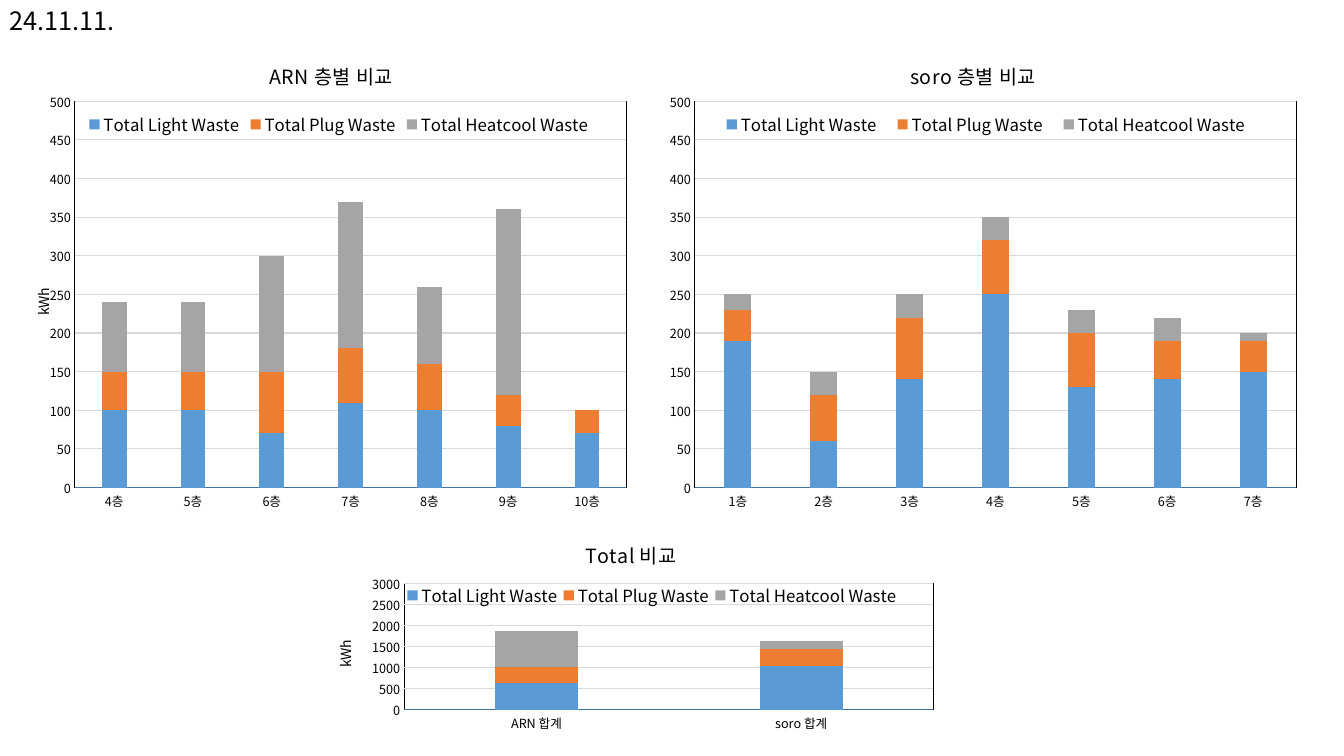
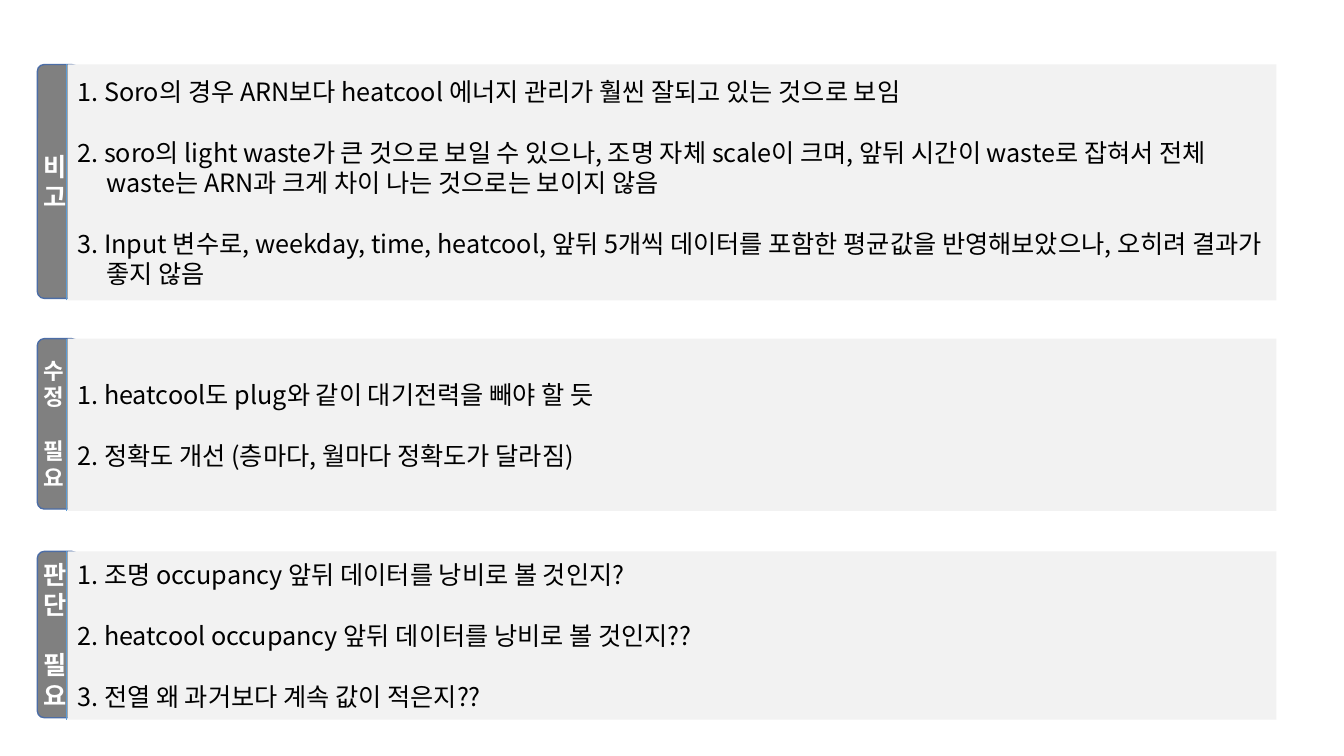
from collections import namedtuple
from lxml import etree
from pptx import Presentation
from pptx.chart.data import CategoryChartData as Data
from pptx.dml.color import RGBColor as Rgb
from pptx.enum.chart import XL_CHART_TYPE as Kind, XL_LEGEND_POSITION as Spot, XL_TICK_MARK as Tick
from pptx.enum.shapes import MSO_CONNECTOR as Link, MSO_SHAPE as Form
from pptx.enum.text import MSO_ANCHOR as Anchor, PP_ALIGN as Align
from pptx.oxml import parse_xml
from pptx.oxml.ns import nsdecls, qn
from pptx.util import Inches, Pt

Theme = namedtuple("Theme", "ink white gray edge rule panel grid axis waste sans label body head legend note tick lead")
theme = Theme(
    ink=Rgb.from_string("000000"), white=Rgb.from_string("FFFFFF"),
    gray=Rgb.from_string("808080"), edge=Rgb.from_string("4C6DA6"),
    rule=Rgb.from_string("5B9BD5"), panel=Rgb.from_string("F2F2F2"),
    grid=Rgb.from_string("D9D9D9"), axis=Rgb.from_string("43739E"),
    waste=[Rgb.from_string(c) for c in ("5B9BD5", "ED7D31", "A5A5A5")],
    sans="Noto Sans CJK KR", label="Arial",
    body=18, head=14, legend=12, note=10, tick=9, lead=21.7)


def write(frame, text, size=theme.body, color=theme.ink, face=theme.sans, bold=False,
          align=None, lead=None, gap=0, hang=0, track=0):
    for i, line in enumerate(text.split("\n")):
        para = frame.add_paragraph() if i else frame.paragraphs[0]
        if align is not None:
            para.alignment = align
        if lead:
            para.line_spacing = Pt(lead)
        if gap and i:
            para.space_before = Pt(gap)
        if hang:
            props = para._p.get_or_add_pPr()
            props.set("marL", str(Inches(hang)))
            props.set("indent", str(-Inches(hang)))
        run = para.add_run()
        run.text = line
        font = run.font
        font.size, font.name, font.bold = Pt(size), face, bold
        font.color.rgb = color
        props = run._r.get_or_add_rPr()
        props.find(qn("a:latin")).addnext(parse_xml(f'<a:ea {nsdecls("a")} typeface="{face}"/>'))
        if track:
            props.set("spc", str(track))


def place(part, index, inner=False, **box):
    for old in part.findall(qn("c:layout")):
        part.remove(old)
    target = '<c:layoutTarget val="inner"/>' if inner else ""
    modes = "".join(f'<c:{k}Mode val="edge"/>' for k in box if k in "xy")
    sizes = "".join(f'<c:{k} val="{v}"/>' for k, v in box.items())
    part.insert(index, parse_xml(
        f'<c:layout {nsdecls("c")}><c:manualLayout>{target}{modes}{sizes}</c:manualLayout></c:layout>'))


deck = Presentation()
deck.slide_width, deck.slide_height = Inches(13.33), Inches(7.5)
blank = deck.slide_layouts[6]

slide = deck.slides.add_slide(blank)
date = slide.shapes.add_textbox(0, 0, Inches(2.54), Inches(0.4))
write(date.text_frame, "24.11.11.")

names = ["Total Light Waste", "Total Plug Waste", "Total Heatcool Waste"]
floor = dict(x=0.075, y=0.123, w=0.909, h=0.779)
charts = [
    dict(title="soro 층별 비교", at=(6.4, 0.4, 6.56, 4.92), top=500, step=50, plot=floor,
         head=(0.395, 0.03), key=dict(x=0.1, y=0.142, w=0.83, h=0.055), unit=None,
         cats=[f"{n}층" for n in range(1, 8)],
         rows=[[190, 60, 140, 250, 130, 140, 150], [40, 60, 80, 70, 70, 50, 40],
               [20, 30, 30, 30, 30, 30, 10]]),
    dict(title="ARN 층별 비교", at=(0.29, 0.4, 6.02, 4.92), top=500, step=50, plot=floor,
         head=(0.39, 0.03), key=dict(x=0.09, y=0.142, w=0.84, h=0.055), unit=(0, 0.494),
         cats=[f"{n}층" for n in range(4, 11)],
         rows=[[100, 100, 70, 110, 100, 80, 70], [50, 50, 80, 70, 60, 40, 30],
               [90, 90, 150, 190, 100, 240, 0]]),
    dict(title="Total 비교", at=(3.25, 5.22, 6.07, 2.16), top=3000, step=500,
         plot=dict(x=0.125, y=0.264, w=0.865, h=0.58),
         head=(0.415, 0.04), key=dict(x=0.12, y=0.26, w=0.82, h=0.11), unit=(0.007, 0.51),
         cats=["ARN 합계", "soro 합계"],
         rows=[[630, 1040], [380, 410], [870, 180]]),
]

for item in charts:
    data = Data(number_format="0")
    data.categories = item["cats"]
    for name, row in zip(names, item["rows"]):
        data.add_series(name, row)
    chart = slide.shapes.add_chart(Kind.COLUMN_STACKED, *map(Inches, item["at"]), data).chart
    bars = chart.plots[0]
    bars.gap_width, bars.overlap, bars.vary_by_categories = 219, 100, False
    for row, color in zip(bars.series, theme.waste):
        row.format.fill.solid()
        row.format.fill.fore_color.rgb = color

    base, scale = chart.category_axis, chart.value_axis
    base.format.line.color.rgb = theme.axis
    base.format.line.width = Pt(0.75)
    scale.minimum_scale, scale.maximum_scale, scale.major_unit = 0, item["top"], item["step"]
    scale.format.line.fill.background()
    grid = scale.major_gridlines.format.line
    grid.color.rgb, grid.width = theme.grid, Pt(0.75)
    for axis in (base, scale):
        axis.major_tick_mark = axis.minor_tick_mark = Tick.NONE

    chart.has_legend = True
    key = chart.legend
    key.position, key.include_in_layout = Spot.BOTTOM, False
    fonts = [(chart.font, theme.note), (base.tick_labels.font, theme.tick),
             (scale.tick_labels.font, theme.tick), (key.font, theme.legend)]
    for font, size in fonts:
        font.size, font.name, font.color.rgb = Pt(size), theme.sans, theme.ink
    root = chart._chartSpace
    for latin in list(root.iter(qn("a:latin"))):
        latin.addnext(parse_xml(f'<a:ea {nsdecls("a")} typeface="{theme.sans}"/>'))
    place(key._element, 1, **item["key"])

    chart.has_title = True
    write(chart.chart_title.text_frame, item["title"], size=theme.head, track=20)
    x, y = item["head"]
    place(chart.chart_title._element, 1, x=x, y=y)
    if item["unit"]:
        unit = scale.axis_title
        write(unit.text_frame, "kWh", size=theme.note)
        body = unit._element.find(".//" + qn("a:bodyPr"))
        body.set("rot", "-5400000")
        body.set("vert", "horz")
        x, y = item["unit"]
        place(unit._element, 1, x=x, y=y)

    area = root.find(".//" + qn("c:plotArea"))
    place(area, 0, inner=True, **item["plot"])
    area.append(parse_xml(
        f'<c:spPr {nsdecls("c", "a")}><a:noFill/><a:ln w="9525"><a:solidFill>'
        f'<a:srgbClr val="{theme.ink}"/></a:solidFill></a:ln></c:spPr>'))

slide = deck.slides.add_slide(blank)
notes = [
    ("비고", 18, 0.64, 2.34,
     "1. Soro의 경우 ARN보다 heatcool 에너지 관리가 훨씬 잘되고 있는 것으로 보임\n"
     "2. soro의 light waste가 큰 것으로 보일 수 있으나, 조명 자체 scale이 크며, 앞뒤 시간이 waste로 잡혀서 "
     "전체 waste는 ARN과 크게 차이 나는 것으로는 보이지 않음\n"
     "3. Input 변수로, weekday, time, heatcool, 앞뒤 5개씩 데이터를 포함한 평균값을 반영해보았으나, "
     "오히려 결과가 좋지 않음"),
    ("수정 필요", 16, 3.36, 1.71,
     "1. heatcool도 plug와 같이 대기전력을 빼야 할 듯\n"
     "2. 정확도 개선 (층마다, 월마다 정확도가 달라짐)"),
    ("판단 필요", 18, 5.47, 1.67,
     "1. 조명 occupancy 앞뒤 데이터를 낭비로 볼 것인지?\n"
     "2. heatcool occupancy 앞뒤 데이터를 낭비로 볼 것인지??\n"
     "3. 전열 왜 과거보다 계속 값이 적은지??"),
]

for label, size, top, tall, text in notes:
    tab = slide.shapes.add_shape(
        Form.ROUNDED_RECTANGLE, Inches(0.37), Inches(top), Inches(0.41), Inches(tall - 0.02))
    panel = slide.shapes.add_shape(
        Form.RECTANGLE, Inches(0.67), Inches(top), Inches(11.99), Inches(tall))
    line = slide.shapes.add_connector(
        Link.STRAIGHT, Inches(0.66), Inches(top + tall), Inches(0.66), Inches(top))
    line.line.color.rgb, line.line.width = theme.rule, Pt(0.5)
    etree.SubElement(line._element.spPr, qn("a:effectLst"))
    tab.line.color.rgb, tab.line.width = theme.edge, Pt(1)
    panel.line.fill.background()
    looks = [(tab, theme.gray, (0.04, 0.05, 0.2, 0.05)), (panel, theme.panel, (0.1, 0, 0.1, 0))]
    for shape, fill, inset in looks:
        shape.shadow.inherit = False
        shape.fill.solid()
        shape.fill.fore_color.rgb = fill
        frame = shape.text_frame
        frame.word_wrap, frame.vertical_anchor = True, Anchor.MIDDLE
        (frame.margin_left, frame.margin_top,
         frame.margin_right, frame.margin_bottom) = map(Inches, inset)
    write(tab.text_frame, label, size=size, color=theme.white, face=theme.label,
          bold=True, align=Align.CENTER)
    write(panel.text_frame, text, align=Align.LEFT, lead=theme.lead, gap=theme.lead, hang=0.29)

deck.save("out.pptx")
